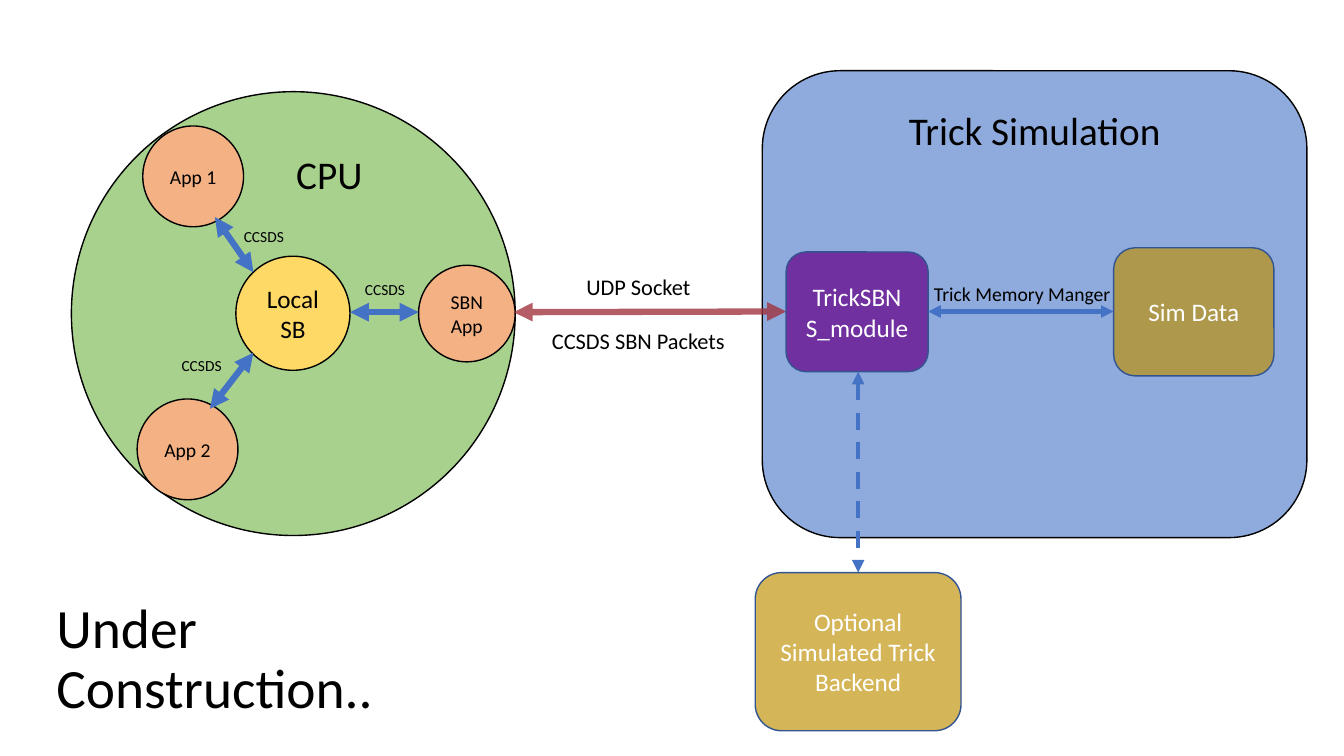
"""Build the slide that shows how flight apps talk to the Trick simulation."""
from dataclasses import dataclass

from lxml.etree import SubElement
from pptx import Presentation
from pptx.dml.color import RGBColor as Color
from pptx.enum.dml import MSO_LINE_DASH_STYLE as Dash
from pptx.enum.shapes import MSO_CONNECTOR as Link, MSO_SHAPE as Kind
from pptx.enum.text import MSO_ANCHOR as Anchor, MSO_AUTO_SIZE as Fit, PP_ALIGN as Align
from pptx.oxml.ns import qn
from pptx.util import Pt


@dataclass(frozen=True)
class Theme:
    font: str = "Calibri"
    black: str = "000000"
    white: str = "FFFFFF"
    green: str = "A9D18E"
    yellow: str = "FFD966"
    orange: str = "F4B183"
    sky: str = "8FAADC"
    purple: str = "7030A0"
    gold: str = "BF9000"
    blue: str = "4472C4"
    navy: str = "325491"
    red: str = "A0323D"
    title: float = 39.6
    heading: int = 28
    block: int = 18
    socket: int = 16
    app: int = 14
    packet: int = 11


def assign(target, values):
    for name, value in values.items():
        setattr(target, name, value)


def fade(fill, percent):
    color = fill._xPr.find(qn("a:solidFill"))[0]
    SubElement(color, qn("a:alpha"), val=str(percent * 1000))


class Sketch:
    def __init__(self, page, theme):
        self.page, self.theme = page, theme

    def add_lines(self, frame, lines, size, color, align=Align.CENTER, **spacing):
        for index, line in enumerate(lines):
            para = frame.paragraphs[0] if index == 0 else frame.add_paragraph()
            assign(para, {"alignment": align, **spacing})
            span = para.add_run()
            span.text = line
            assign(span.font, {"name": self.theme.font, "size": Pt(size)})
            span.font.color.rgb = Color.from_string(color)

    def shape(self, kind, place, fill, outline, text="", size=0, color="", opacity=100):
        box = self.page.shapes.add_shape(kind, *map(Pt, place))
        box.shadow.inherit = False
        box.fill.solid()
        box.fill.fore_color.rgb = Color.from_string(fill)
        if opacity < 100:
            fade(box.fill, opacity)
        box.line.color.rgb = Color.from_string(outline)
        box.line.width = Pt(1)
        if text:
            assign(box.text_frame, {"word_wrap": True, "vertical_anchor": Anchor.MIDDLE})
            self.add_lines(box.text_frame, [text], size, color)

    def circle(self, left, top, diameter, fill, text="", size=0):
        place = left, top, diameter, diameter
        self.shape(Kind.OVAL, place, fill, self.theme.black, text, size, self.theme.black)

    def block(self, place, fill, text, opacity=100):
        theme = self.theme
        self.shape(Kind.ROUNDED_RECTANGLE, place, fill, theme.navy, text,
                   theme.block, theme.white, opacity)

    def label(self, place, lines, size, wrap=True, **spacing):
        box = self.page.shapes.add_textbox(*map(Pt, place))
        box.text_frame.word_wrap = wrap
        self.add_lines(box.text_frame, lines, size, self.theme.black, **spacing)

    def arrow(self, ends, color, width, dash=None, opacity=100):
        link = self.page.shapes.add_connector(Link.STRAIGHT, *map(Pt, ends))
        link.line.color.rgb = Color.from_string(color)
        assign(link.line, {"width": Pt(width), "dash_style": dash})
        if opacity < 100:
            fade(link.line.fill, opacity)
        outline = link.line._get_or_add_ln()
        for end in ("a:headEnd", "a:tailEnd"):
            SubElement(outline, qn(end), type="triangle")
        SubElement(link._element.spPr, qn("a:effectLst"))

    def title(self, place, text):
        box = self.page.shapes.title
        assign(box, dict(zip(("left", "top", "width", "height"), map(Pt, place))))
        assign(box.text_frame, {"word_wrap": True, "auto_size": Fit.NONE,
                                "vertical_anchor": Anchor.MIDDLE})
        self.add_lines(box.text_frame, [text], self.theme.title, self.theme.black,
                       Align.LEFT, line_spacing=0.9)


def build():
    deck = Presentation()
    assign(deck, {"slide_width": Pt(960), "slide_height": Pt(540)})
    theme = Theme()
    sketch = Sketch(deck.slides.add_slide(deck.slide_layouts[5]), theme)
    sketch.title((33, 425, 334, 94), "Under Construction..")

    sketch.circle(51, 65.5, 317, theme.green)
    sketch.circle(168.5, 183, 81.5, theme.yellow, "Local SB", theme.block)
    for left, top, diameter, name in ((98, 285, 72, "App 2"), (102, 90, 72, "App 1"),
                                      (299, 189.5, 69, "SBN App")):
        sketch.circle(left, top, diameter, theme.orange, name, theme.app)
    sketch.label((204.5, 103.5, 71, 41), ["CPU"], theme.heading, align=Align.LEFT)
    for ends, corner in (((250, 223, 299, 223), (253.5, 196.5)),
                         ((181, 252, 150, 292), (122.5, 250.5)),
                         ((153.5, 155, 181, 194.5), (167, 159))):
        sketch.arrow(ends, theme.blue, 4.5)
        sketch.label((*corner, 43, 21), ["CCSDS"], theme.packet, wrap=False)

    sketch.shape(Kind.ROUNDED_RECTANGLE, (544.5, 50.5, 389, 333.5), theme.sky, theme.black)
    sketch.label((607, 72.5, 264, 41), ["Trick Simulation"], theme.heading)
    sketch.arrow((367, 223, 561.5, 222.5), theme.red, 4.5, opacity=79)
    sketch.label((384, 191.5, 144, 65.5), ["UDP Socket", "CCSDS SBN Packets"],
                 theme.socket, space_before=Pt(19.5))
    sketch.block((561.5, 180, 101.5, 85.5), theme.purple, "TrickSBN S_module")
    sketch.block((795.5, 177, 114.5, 91.5), theme.gold, "Sim Data", opacity=66)
    sketch.arrow((663, 222.5, 795.5, 222.5), theme.blue, 3)
    sketch.label((647.5, 198, 165.5, 24.5), ["Trick Memory Manger"], theme.app)
    sketch.arrow((613, 265.5, 613, 409), theme.blue, 3, Dash.DASH)
    sketch.block((539.5, 409, 147, 113), theme.gold,
                 "Optional Simulated Trick Backend", opacity=66)
    deck.save("out.pptx")


build()
